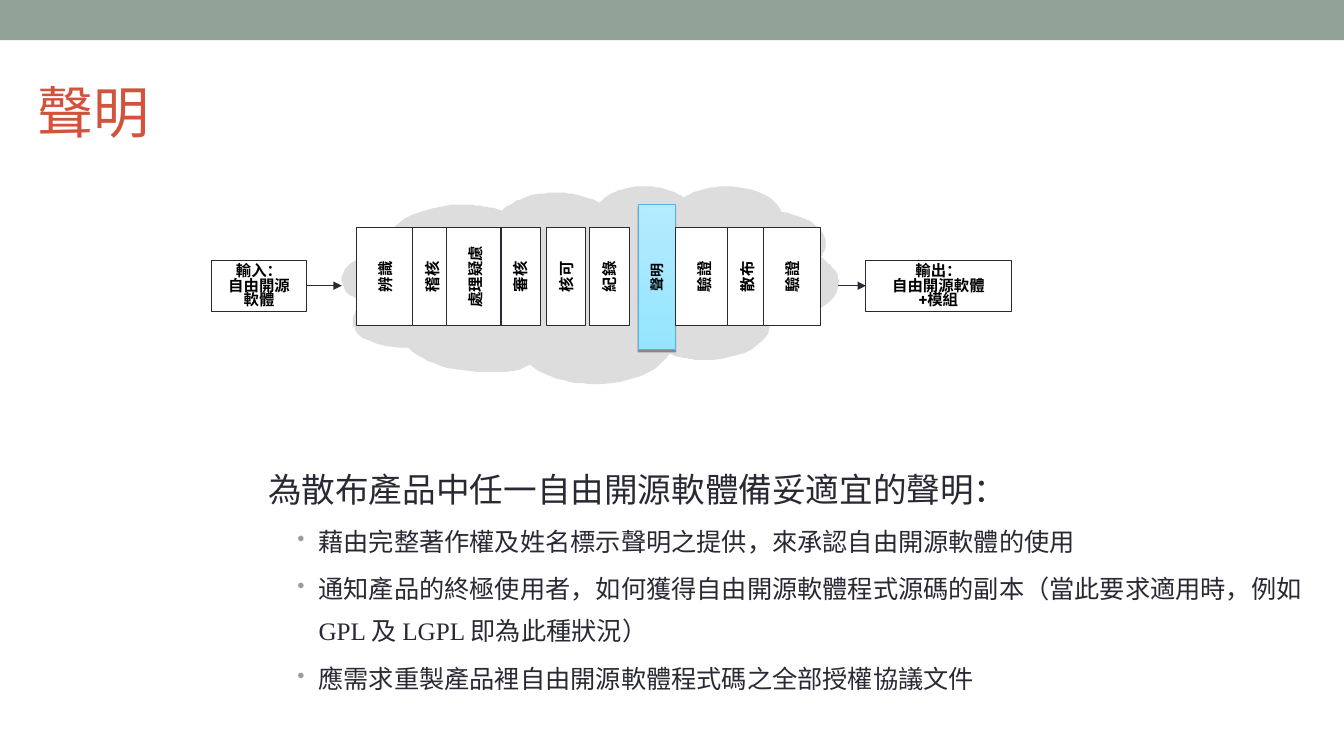
"""Build the notices slide of an open source compliance process."""
from dataclasses import dataclass

from lxml import etree
from pptx import Presentation
from pptx.dml.color import RGBColor
from pptx.enum.shapes import MSO_CONNECTOR, MSO_SHAPE
from pptx.enum.text import MSO_ANCHOR, PP_ALIGN
from pptx.oxml.ns import qn
from pptx.util import Inches, Pt

RECTANGLE = MSO_SHAPE.RECTANGLE
STRAIGHT = MSO_CONNECTOR.STRAIGHT
TOP, MIDDLE = MSO_ANCHOR.TOP, MSO_ANCHOR.MIDDLE
LEFT, CENTER = PP_ALIGN.LEFT, PP_ALIGN.CENTER
LEFT_SIDE, RIGHT_SIDE = 1, 3

SLIDE_WIDTH, SLIDE_HEIGHT = Inches(13.33), Inches(7.5)


@dataclass(frozen=True)
class Theme:
    """Colours, fonts and type sizes of the slide."""

    accent: str = "93A299"
    title: str = "D2533C"
    ink: str = "292934"
    label: str = "000000"
    paper: str = "FFFFFF"
    cloud: str = "DDDDDD"
    notice_low: str = "95E5FF"
    notice_high: str = "B4EBFF"
    notice_line: str = "55B4E5"
    text_font: str = "Times New Roman"
    label_font: str = "Roboto"
    title_size: float = 40
    lead_size: float = 24
    bullet_size: float = 18
    label_size: float = 11
    notice_size: float = 10
    label_leading: float = 10.5
    line_width: float = 0.75


THEME = Theme()

STAGE_TOP, STAGE_HEIGHT = 30.13, 12.93
WIDE, NARROW = 4.3, 2.93
STAGES = [
    ("辨識", 26.55, WIDE), ("稽核", 30.68, NARROW), ("處理疑慮", 33.23, WIDE),
    ("審核", 37.28, NARROW), ("核可", 40.65, NARROW), ("紀錄", 43.88, NARROW),
    ("驗證", 50.25, WIDE), ("散布", 54.15, NARROW), ("驗證", 56.78, WIDE),
]
NOTICE_AREA = (47.48, 27.07, 2.8, 19.2)
FLOW_LEVEL = 37.8
CLOUD_LEFT, CLOUD_RIGHT, CLOUD_TOP = 25.43, 62.33, 24.67
CLOUD_UNITS_PER_SLIDE = 1333
CLOUD_START = (44, 65)
CLOUD_CURVES = [
    (35, 41, 77, 18, 120, 18), (133, 18, 147, 20, 159, 24),
    (170, 13, 190, 6, 213, 6), (228, 6, 244, 10, 256, 16),
    (264, 6, 281, 0, 300, 0), (316, 0, 330, 4, 339, 11),
    (350, 4, 365, 0, 382, 0), (408, 0, 431, 10, 436, 25),
    (462, 29, 480, 42, 480, 57), (480, 61, 479, 65, 475, 70),
    (486, 77, 493, 86, 493, 95), (493, 116, 463, 133, 425, 136),
    (425, 156, 396, 172, 360, 172), (347, 172, 335, 170, 325, 166),
    (315, 184, 285, 196, 251, 196), (225, 196, 201, 189, 187, 177),
    (174, 182, 181, 184, 142, 184), (110, 184, 81, 175, 66, 160),
    (29, 160, 11, 148, 11, 133), (11, 126, 16, 120, 24, 115),
    (8, 111, 0, 102, 0, 92), (0, 78, 19, 67, 44, 65),
]
LEAD = "為散布產品中任一自由開源軟體備妥適宜的聲明："
BULLETS = [
    "藉由完整著作權及姓名標示聲明之提供，來承認自由開源軟體的使用",
    "通知產品的終極使用者，如何獲得自由開源軟體程式源碼的副本（當此要求適用時，例如GPL 及 LGPL 即為此種狀況）",
    "應需求重製產品裡自由開源軟體程式碼之全部授權協議文件",
]


def across(share):
    """Turn a percentage of the slide's width into a length."""
    return round(SLIDE_WIDTH * share / 100)


def down(share):
    """Turn a percentage of the slide's height into a length."""
    return round(SLIDE_HEIGHT * share / 100)


def area(left, top, width, height):
    """Turn slide percentages into a position and a size."""
    return across(left), down(top), across(width), down(height)


def turned(left, top, width, height):
    """Give the frame that covers the area after a quarter turn."""
    x, y, w, h = area(left, top, width, height)
    return x + (w - h) // 2, y + (h - w) // 2, h, w


def add_run(paragraph, text, font, size, color, bold=False):
    """Add one formatted run."""
    run = paragraph.add_run()
    run.text = text
    run.font.name, run.font.size, run.font.bold = font, Pt(size), bold
    run.font.color.rgb = RGBColor.from_string(color)


def write_label(shape, lines, size=THEME.label_size, anchor=MIDDLE, leading=None):
    """Write centred bold lines into a shape."""
    frame = shape.text_frame
    frame.word_wrap, frame.vertical_anchor = True, anchor
    for index, line in enumerate(lines):
        paragraph = frame.add_paragraph() if index else frame.paragraphs[0]
        paragraph.alignment = CENTER
        if leading:
            paragraph.line_spacing = Pt(leading)
        add_run(paragraph, line, THEME.label_font, size, THEME.label, True)


def add_box(slide, frame, fill, line=None):
    """Add a plain rectangle."""
    box = slide.shapes.add_shape(RECTANGLE, *frame)
    box.shadow.inherit = False
    box.fill.solid()
    box.fill.fore_color.rgb = RGBColor.from_string(fill)
    if line:
        box.line.color.rgb = RGBColor.from_string(line)
        box.line.width = Pt(THEME.line_width)
    else:
        box.line.fill.background()
    return box


def add_cloud(slide):
    """Add the cloud behind the process stages."""
    x, y = CLOUD_START
    points = []
    for ax, ay, bx, by, end_x, end_y in CLOUD_CURVES:
        for t in (step / 12 for step in range(1, 13)):
            weights = ((1 - t) ** 3, 3 * t * (1 - t) ** 2, 3 * t * t * (1 - t), t ** 3)
            points.append(tuple(
                sum(weight * value for weight, value in zip(weights, values))
                for values in ((x, ax, bx, end_x), (y, ay, by, end_y))))
        x, y = end_x, end_y
    builder = slide.shapes.build_freeform(
        *CLOUD_START, scale=SLIDE_WIDTH / CLOUD_UNITS_PER_SLIDE)
    builder.add_line_segments(points, close=True)
    cloud = builder.convert_to_shape(across(CLOUD_LEFT), down(CLOUD_TOP))
    cloud.shadow.inherit = False
    cloud.fill.solid()
    cloud.fill.fore_color.rgb = RGBColor.from_string(THEME.cloud)
    cloud.line.fill.background()


def add_arrow(slide, start, end):
    """Add an arrow along the flow level."""
    level = down(FLOW_LEVEL)
    arrow = slide.shapes.add_connector(STRAIGHT, across(start), level, across(end), level)
    arrow.line.color.rgb = RGBColor.from_string(THEME.ink)
    arrow.line.width = Pt(THEME.line_width)
    etree.SubElement(arrow.line._get_or_add_ln(), qn("a:tailEnd"), type="triangle")
    etree.SubElement(arrow._element.spPr, qn("a:effectLst"))
    return arrow


def add_stage(slide, label, left, width):
    """Add a process stage with upward text."""
    frame = turned(left, STAGE_TOP, width, STAGE_HEIGHT)
    stage = add_box(slide, frame, THEME.paper, THEME.ink)
    stage.rotation = 270
    write_label(stage, [label])


def add_notice_stage(slide):
    """Add the highlighted stage and its upward label."""
    bar = add_box(slide, area(*NOTICE_AREA), THEME.notice_low, THEME.notice_line)
    bar.fill.gradient()
    bar.fill.gradient_angle = 90
    for stop, color in zip(bar.fill.gradient_stops, (THEME.notice_low, THEME.notice_high)):
        stop.color.rgb = RGBColor.from_string(color)
    effects = bar._element.spPr.find(qn("a:effectLst"))
    shadow = etree.SubElement(effects, qn("a:outerShdw"), blurRad="0", dist="20320",
                              dir="5400000", rotWithShape="0")
    color = etree.SubElement(shadow, qn("a:srgbClr"), val=THEME.label)
    etree.SubElement(color, qn("a:alpha"), val="38000")
    label = slide.shapes.add_textbox(*turned(*NOTICE_AREA))
    label.rotation = 270
    write_label(label, ["聲明"], THEME.notice_size)


def add_endpoint(slide, frame, lines):
    """Add the box at one end of the flow."""
    endpoint = add_box(slide, frame, THEME.paper, THEME.ink)
    write_label(endpoint, lines, anchor=TOP, leading=THEME.label_leading)
    return endpoint


def set_bullet(paragraph):
    """Give a paragraph a hanging accent bullet."""
    properties = paragraph._p.get_or_add_pPr()
    properties.set("marL", str(Inches(0.5)))
    properties.set("indent", str(Inches(-0.21)))
    color = etree.SubElement(properties, qn("a:buClr"))
    etree.SubElement(color, qn("a:srgbClr"), val=THEME.accent)
    etree.SubElement(properties, qn("a:buSzPct"), val="85000")
    etree.SubElement(properties, qn("a:buChar"), char="•")


def add_explanation(slide):
    """Add the lead sentence and its bullets."""
    frame = slide.shapes.add_textbox(*area(17.85, 57.2, 82.15, 36.5)).text_frame
    frame.word_wrap, frame.vertical_anchor = True, TOP
    frame.margin_left, frame.margin_top = Inches(0.28), Inches(0.2)
    frame.margin_right, frame.margin_bottom = Inches(0.2), Inches(0.24)
    lead = frame.paragraphs[0]
    lead.line_spacing = 1.4
    add_run(lead, LEAD, THEME.text_font, THEME.lead_size, THEME.ink)
    for text in BULLETS:
        bullet = frame.add_paragraph()
        bullet.level, bullet.line_spacing, bullet.space_before = 1, 1.4, Pt(3.6)
        set_bullet(bullet)
        add_run(bullet, text, THEME.text_font, THEME.bullet_size, THEME.ink)


def set_title(slide, text):
    """Place and write the slide title."""
    title = slide.shapes.title
    title.left, title.top, title.width, title.height = area(2.03, 7.47, 90, 14.4)
    title.text_frame.vertical_anchor = MIDDLE
    paragraph = title.text_frame.paragraphs[0]
    paragraph.alignment = LEFT
    add_run(paragraph, text, THEME.text_font, THEME.title_size, THEME.title)


def main():
    """Build and save the slide."""
    deck = Presentation()
    deck.slide_width, deck.slide_height = SLIDE_WIDTH, SLIDE_HEIGHT
    slide = deck.slides.add_slide(deck.slide_layouts[5])
    add_box(slide, area(0, 0, 100, 5.33), THEME.accent)
    set_title(slide, "聲明")
    add_cloud(slide)
    add_notice_stage(slide)
    for stage in STAGES:
        add_stage(slide, *stage)
    source = add_endpoint(slide, area(15.75, 34.4, 7.05, 6.8), ["輸入：", "自由開源軟體"])
    product = add_endpoint(slide, area(64.43, 34.4, 10.8, 6.8),
                           ["輸出：", "自由開源軟體", "+模組"])
    add_arrow(slide, 22.8, CLOUD_LEFT).begin_connect(source, RIGHT_SIDE)
    add_arrow(slide, CLOUD_RIGHT, 64.43).end_connect(product, LEFT_SIDE)
    add_explanation(slide)
    deck.save("out.pptx")


if __name__ == "__main__":
    main()
